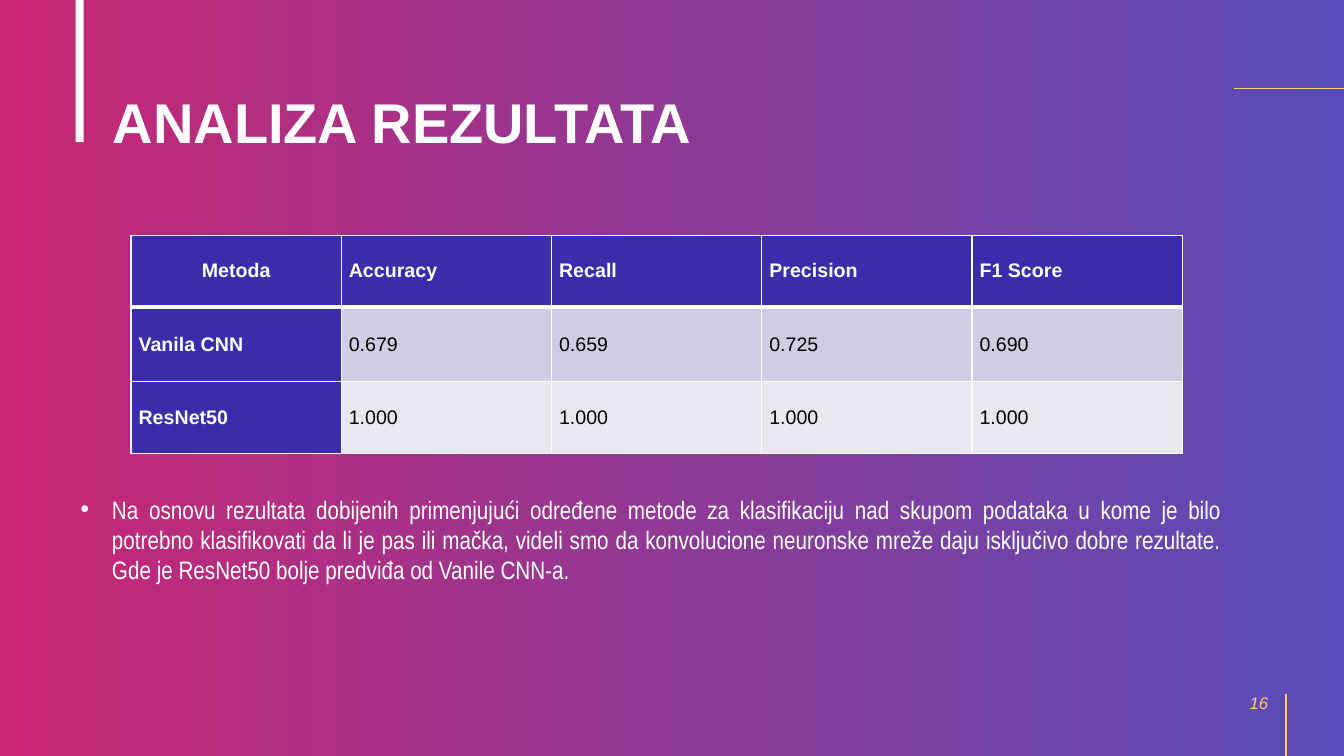
from lxml.etree import SubElement
from pptx import Presentation
from pptx.dml.color import RGBColor
from pptx.enum.shapes import MSO_CONNECTOR, MSO_SHAPE
from pptx.enum.text import MSO_ANCHOR, PP_ALIGN
from pptx.oxml.ns import qn
from pptx.util import Pt

COLORS = {
    "pink": "C82673",
    "violet": "584CB8",
    "indigo": "3B2CAC",
    "band_dark": "CECDE3",
    "band_light": "E8E8F1",
    "gold": "FFCD6B",
    "white": "FFFFFF",
    "black": "000000",
}
WIDTH, HEIGHT = 960, 540


def color(name):
    return RGBColor.from_string(COLORS[name])


def write(para, text, size, color_name, align, font="Arial", bold=False, italic=False):
    para.alignment = align
    span = para.add_run()
    span.text = text
    span.font.name = font
    span.font.size = Pt(size)
    span.font.bold = bold
    span.font.italic = italic
    span.font.color.rgb = color(color_name)


deck = Presentation()
deck.slide_width, deck.slide_height = Pt(WIDTH), Pt(HEIGHT)
page = deck.slides.add_slide(deck.slide_layouts[5])

# Background and decoration
backdrop = page.background.fill
backdrop.gradient()
backdrop.gradient_angle = 0
for stop, name in zip(backdrop.gradient_stops, ("pink", "violet")):
    stop.color.rgb = color(name)

bar = page.shapes.add_shape(MSO_SHAPE.RECTANGLE, Pt(54), Pt(0), Pt(5.76), Pt(101.5))
bar.shadow.inherit = False
bar.fill.solid()
bar.fill.fore_color.rgb = color("white")
bar.line.fill.background()

for x1, y1, x2, y2, weight in (
    (881.3, 63.2, WIDTH, 63.2, 0.5),
    (918.7, HEIGHT, 918.7, 496, 1.5),
):
    accent = page.shapes.add_connector(
        MSO_CONNECTOR.STRAIGHT, Pt(x1), Pt(y1), Pt(x2), Pt(y2))
    accent.line.color.rgb = color("gold")
    accent.line.width = Pt(weight)
    SubElement(accent._element.spPr, qn("a:effectLst"))

# Title and page number
title = page.shapes.title
title.left, title.top, title.width, title.height = Pt(73.5), Pt(37.4), Pt(828), Pt(104.4)
title.text_frame.vertical_anchor = MSO_ANCHOR.MIDDLE
heading = title.text_frame.paragraphs[0]
heading.line_spacing = 0.9
write(heading, "ANALIZA REZULTATA", 40, "white", PP_ALIGN.LEFT, bold=True)

number_box = page.shapes.add_textbox(Pt(697), Pt(487.5), Pt(216), Pt(28.8))
number_box.text_frame.word_wrap = True
number_box.text_frame.vertical_anchor = MSO_ANCHOR.MIDDLE
write(number_box.text_frame.paragraphs[0], "16", 12, "gold", PP_ALIGN.RIGHT, italic=True)

# Results table
results = (
    ("Metoda", "Accuracy", "Recall", "Precision", "F1 Score"),
    ("Vanila CNN", "0.679", "0.659", "0.725", "0.690"),
    ("ResNet50", "1.000", "1.000", "1.000", "1.000"),
)
row_heights = (51.4, 53, 51.8)
row_fills = ("indigo", "band_dark", "band_light")
table = page.shapes.add_table(
    len(results), len(results[0]), Pt(93.6), Pt(168), Pt(751), Pt(sum(row_heights))).table
for column in table.columns:
    column.width = Pt(150.2)
for r, values in enumerate(results):
    table.rows[r].height = Pt(row_heights[r])
    for c, value in enumerate(values):
        cell = table.cell(r, c)
        label = r == 0 or c == 0
        cell.vertical_anchor = MSO_ANCHOR.MIDDLE
        cell.margin_left = cell.margin_right = Pt(5.4)
        cell.margin_top = cell.margin_bottom = Pt(0)
        for edge in ("lnL", "lnR", "lnT", "lnB"):
            under_header = (r, edge) in ((0, "lnB"), (1, "lnT"))
            border = SubElement(cell._tc.get_or_add_tcPr(), qn(f"a:{edge}"),
                                w=str(Pt(3 if under_header else 1)))
            paint = SubElement(border, qn("a:solidFill"))
            SubElement(paint, qn("a:srgbClr"), val=COLORS["white"])
        cell.fill.solid()
        cell.fill.fore_color.rgb = color("indigo" if label else row_fills[r])
        write(cell.text_frame.paragraphs[0], value, 14, "white" if label else "black",
              PP_ALIGN.CENTER if r == c == 0 else PP_ALIGN.JUSTIFY, bold=label)

# Conclusion
conclusion = page.shapes.add_textbox(Pt(50.4), Pt(349.2), Pt(829.4), Pt(72.7))
conclusion.text_frame.word_wrap = True
para = conclusion.text_frame.paragraphs[0]
bullet = para._p.get_or_add_pPr()
bullet.set("marL", str(Pt(22.5)))
bullet.set("indent", str(Pt(-22.5)))
SubElement(bullet, qn("a:buFont"), typeface="Arial")
SubElement(bullet, qn("a:buChar"), char="•")
write(
    para,
    "Na osnovu rezultata dobijenih primenjujući određene metode za klasifikaciju nad "
    "skupom podataka u kome je bilo potrebno klasifikovati da li je pas ili mačka, "
    "videli smo da konvolucione neuronske mreže daju isključivo dobre rezultate. "
    "Gde je ResNet50 bolje predviđa od Vanile CNN-a.",
    18, "white", PP_ALIGN.JUSTIFY, font="Arial Narrow")

deck.save("out.pptx")
